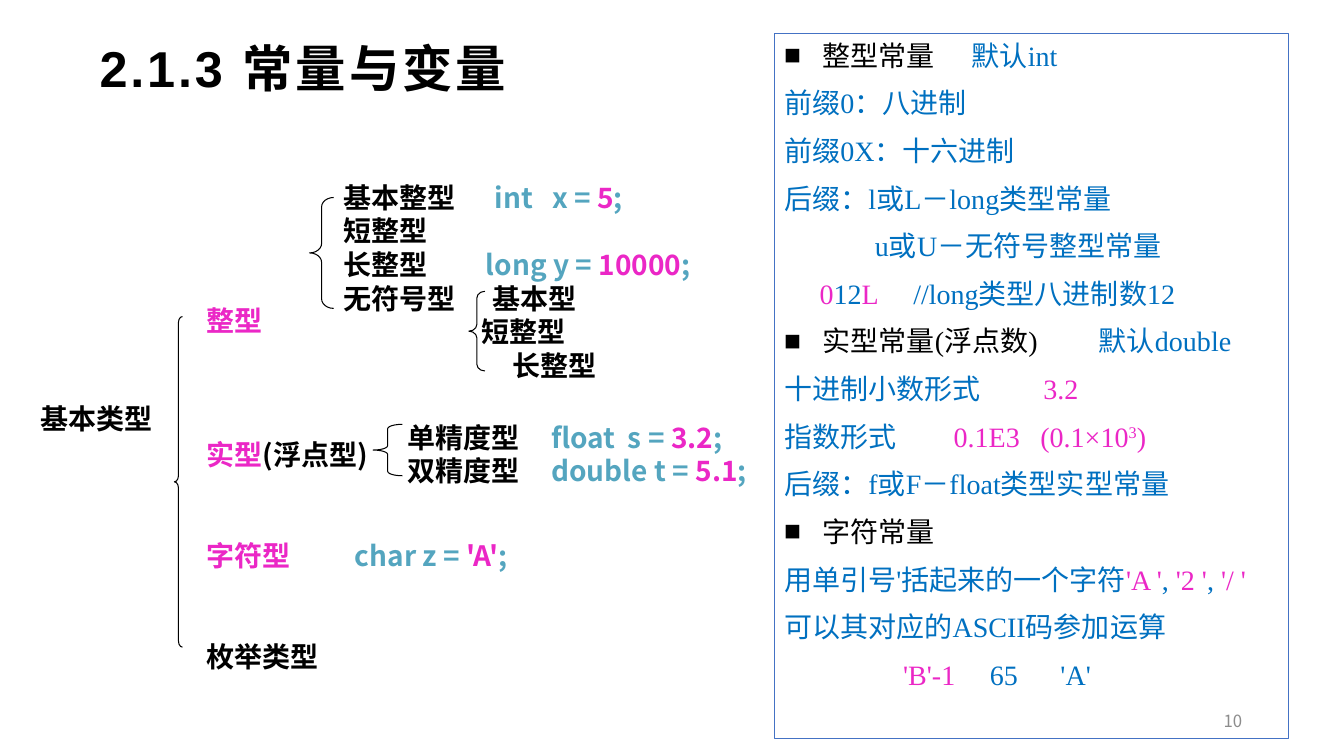
from lxml import etree
from pptx import Presentation
from pptx.dml.color import RGBColor
from pptx.enum.shapes import MSO_SHAPE
from pptx.enum.text import MSO_ANCHOR, PP_ALIGN
from pptx.oxml.ns import qn
from pptx.util import Inches, Pt

BRACE, RECTANGLE = MSO_SHAPE.LEFT_BRACE, MSO_SHAPE.RECTANGLE
LEFT, RIGHT = PP_ALIGN.LEFT, PP_ALIGN.RIGHT
TOP, MIDDLE = MSO_ANCHOR.TOP, MSO_ANCHOR.MIDDLE
SANS, SERIF, HEADING = "Noto Sans CJK SC", "Times New Roman", "Arial"
COLORS = {"black": "000000", "pink": "EB27C6", "teal": "54A5BF",
          "blue": "0070C0", "border": "4472C4", "gray": "8C8C8C"}


class SlideBuilder:
    """Holds the text style and the current slide, and adds elements to it."""

    def __init__(self, slide):
        self.slide = slide
        self.size = 20
        self.line_height = Pt(24)

    def outline(self, shape):
        shape.shadow.inherit = False
        shape.fill.background()
        shape.line.width = Pt(0.75)

    def brace(self, left, top, width, height, curve):
        shape = self.slide.shapes.add_shape(
            BRACE, Inches(left), Inches(top), Inches(width), Inches(height))
        self.outline(shape)
        shape.line.color.rgb = RGBColor.from_string(COLORS["black"])
        shape.adjustments[0] = curve

    def panel(self, left, top, width, height, lines):
        shape = self.slide.shapes.add_shape(
            RECTANGLE, Inches(left), Inches(top), Inches(width), Inches(height))
        self.outline(shape)
        shape.line.color.rgb = RGBColor.from_string(COLORS["border"])
        self.fill_frame(shape.text_frame, lines, font=SERIF, bold=False, gap=10)

    def text(self, left, top, width, height, lines, inset=0.1, anchor=TOP, **style):
        shape = self.slide.shapes.add_textbox(
            Inches(left), Inches(top), Inches(width), Inches(height))
        frame = shape.text_frame
        frame.margin_left = frame.margin_right = Inches(inset)
        frame.margin_top = frame.margin_bottom = Inches(inset / 2)
        self.fill_frame(frame, lines, anchor=anchor, **style)

    def fill_frame(self, frame, lines, anchor=TOP, gap=0, **style):
        frame.word_wrap = True
        frame.vertical_anchor = anchor
        for index, line in enumerate(lines):
            paragraph = frame.paragraphs[0] if index == 0 else frame.add_paragraph()
            before = line.get("before", gap) if index else 0
            self.fill_paragraph(paragraph, line, before, **style)

    def fill_paragraph(self, paragraph, line, before, font=SANS, bold=True,
                       size=None, align=LEFT, spacing=None):
        paragraph.alignment = align
        paragraph.space_before = Pt(before)
        paragraph.line_spacing = 1.0 if size else self.line_height
        properties = paragraph._p.get_or_add_pPr()
        indent = line.get("indent", 0)
        if line.get("bullet"):
            indent = 0.38
            properties.set("indent", str(-Inches(indent)))
            etree.SubElement(properties, qn("a:buFont"), typeface=HEADING)
            etree.SubElement(properties, qn("a:buChar"), char="■")
        properties.set("marL", str(Inches(indent)))
        if line.get("tabs"):
            stops = etree.SubElement(properties, qn("a:tabLst"))
            for stop in line["tabs"]:
                etree.SubElement(stops, qn("a:tab"), pos=str(Inches(stop)), algn="l")
        paragraph.font.name = font
        paragraph.font.size = Pt(size or self.size)
        paragraph.font.bold = bold
        etree.SubElement(properties.find(qn("a:defRPr")), qn("a:ea"), typeface=SANS)
        for content, color, *baseline in line["runs"]:
            run = paragraph.add_run()
            run.text = content
            run.font.color.rgb = RGBColor.from_string(COLORS[color])
            if spacing:
                run._r.get_or_add_rPr().set("spc", str(spacing))
            if baseline:
                run._r.get_or_add_rPr().set("baseline", str(baseline[0]))


def line(*runs, **layout):
    """Describe one paragraph by its coloured runs and its layout."""
    return {"runs": runs, **layout}


def code(label, label_color, declaration, value, tabs, **layout):
    """Describe a type name followed by a sample declaration."""
    return line((label + "\t", label_color), (declaration + " = ", "teal"),
                (value, "pink"), (";", "teal"), tabs=tabs, **layout)


def main():
    """Build the slide on constants and variables."""
    presentation = Presentation()
    presentation.slide_width = Inches(13.33)
    presentation.slide_height = Inches(7.5)
    slide = presentation.slides.add_slide(presentation.slide_layouts[6])
    builder = SlideBuilder(slide)

    builder.text(9.42, 6.95, 3, 0.4, [line(("10", "gray"))],
                 anchor=MIDDLE, size=12, bold=False, align=RIGHT)
    builder.text(0.89, 0.33, 11.33, 0.67, [line(("2.1.3 常量与变量", "black"))],
                 anchor=MIDDLE, size=36, font=HEADING, spacing=200)

    builder.text(0.4, 3.98, 1.3, 0.34, [line(("基本类型", "black"))], inset=0)
    builder.text(2.05, 3.01, 3.49, 3.68, [
        line(("整型", "pink")),
        line(("实型", "pink"), ("(浮点型)", "black"), before=72),
        code("字符型", "pink", "char z", "'A'", [1.47], before=48),
        line(("枚举类型", "black"), before=48),
    ], inset=0)
    builder.text(3.31, 1.74, 4.45, 2.12, [
        code("基本整型", "black", "int\tx", "5", [1.5, 2.07]),
        line(("短整型", "black")),
        code("长整型", "black", "long y", "10000", [1.41]),
        line(("无符号型\t基本型", "black"), tabs=[1.48]),
        line(("短整型", "black"), indent=1.37),
        line(("长整型", "black"), indent=1.67),
    ])
    builder.text(3.94, 4.12, 4.24, 0.85, [
        code("单精度型", "black", "float\ts", "3.2", [1.43, 2.19]),
        code("双精度型", "black", "double t", "5.1", [1.43]),
    ])

    for brace in [(1.73, 3.14, 0.08, 3.28, 0.75), (3.07, 1.96, 0.24, 1.1, 0.39),
                  (4.65, 2.89, 0.16, 0.79, 0.42), (3.7, 4.21, 0.29, 0.51, 0.15)]:
        builder.brace(*brace)

    builder.panel(7.68, 0.33, 5.1, 7, [
        line(("整型常量\t", "black"), ("默认int", "blue"), bullet=True, tabs=[1.86]),
        line(("前缀0：八进制", "blue")),
        line(("前缀0X：十六进制", "blue")),
        line(("后缀：l或L－long类型常量", "blue")),
        line(("u或U－无符号整型常量", "blue"), indent=0.9),
        line(("\t0", "pink"), ("12", "blue"), ("L", "pink"),
             ("\t//long类型八进制数12", "blue"), tabs=[0.35, 1.28]),
        line(("实型常量(浮点数)\t", "black"), ("默认double", "blue"),
             bullet=True, tabs=[3.12]),
        line(("十进制小数形式\t", "blue"), ("3.2", "pink"), tabs=[2.57]),
        line(("指数形式\t", "blue"), ("0.1E3\t(0.1×10", "pink"),
             ("3", "pink", 30000), (")", "pink"), tabs=[1.68, 2.54]),
        line(("后缀：f或F－float类型实型常量", "blue")),
        line(("字符常量", "black"), bullet=True),
        line(("用单引号'括起来的一个字符", "blue"), ("'A '", "pink"), (", ", "blue"),
             ("'2 '", "pink"), (", ", "blue"), ("'/ '", "pink")),
        line(("可以其对应的ASCII码参加运算", "blue")),
        line(("\t'B'-1\t", "pink"), ("65\t'A'", "blue"), tabs=[1.18, 2.04, 2.74]),
    ])
    presentation.save("out.pptx")


if __name__ == "__main__":
    main()
